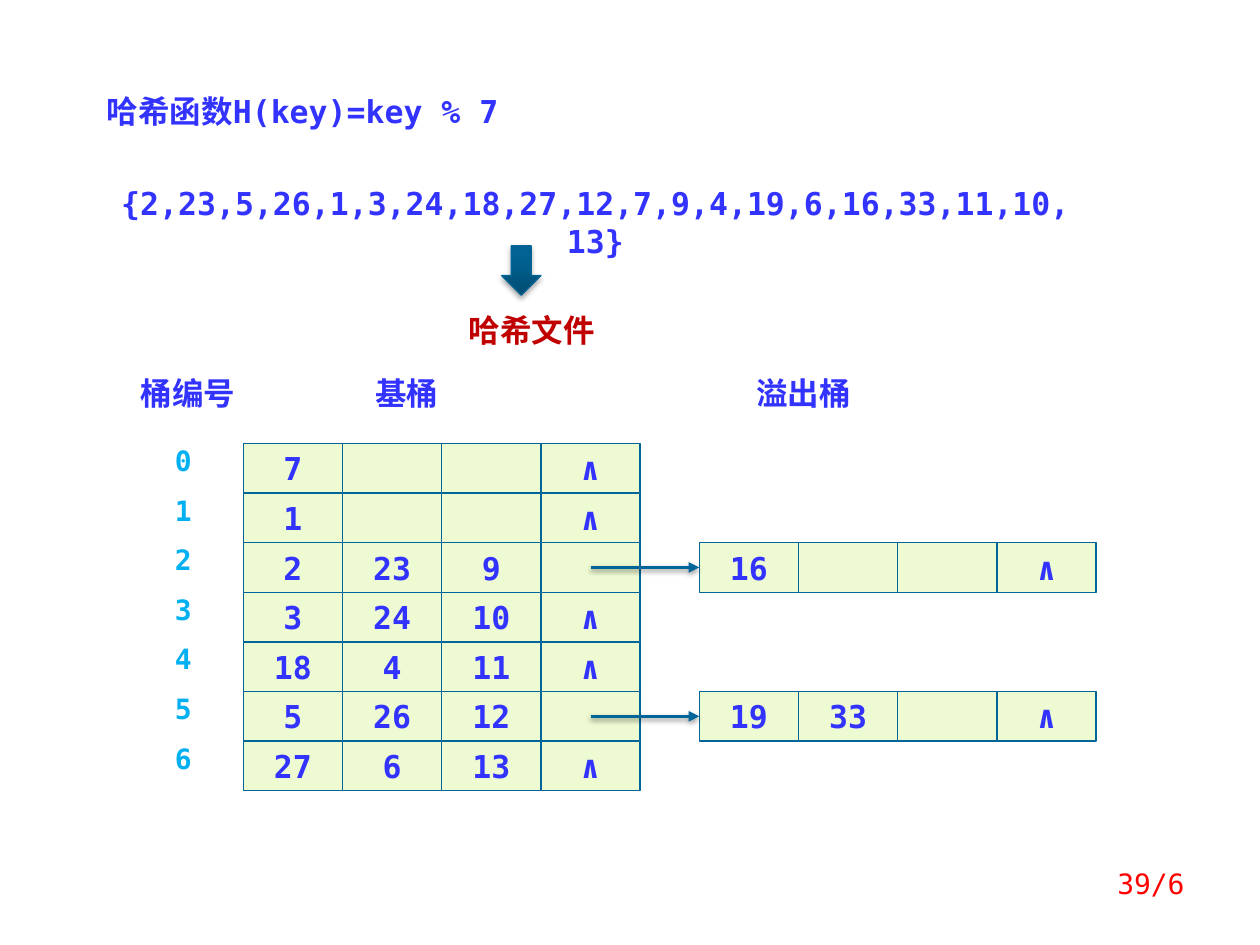
"""Build a slide of a hash file with base buckets and overflow buckets."""
from pptx import Presentation
from pptx.dml.color import RGBColor
from pptx.enum.shapes import MSO_CONNECTOR, MSO_SHAPE
from pptx.enum.text import MSO_ANCHOR, MSO_AUTO_SIZE, PP_ALIGN
from pptx.oxml import parse_xml
from pptx.oxml.ns import nsdecls, qn
from pptx.util import Pt

RECT, DOWN = MSO_SHAPE.RECTANGLE, MSO_SHAPE.DOWN_ARROW
LINE = MSO_CONNECTOR.STRAIGHT
MID = MSO_ANCHOR.MIDDLE
GROW = MSO_AUTO_SIZE.SHAPE_TO_FIT_TEXT
LEFT, CENTER, RIGHT = PP_ALIGN.LEFT, PP_ALIGN.CENTER, PP_ALIGN.RIGHT
FONT = "DejaVu Sans Mono"
HUES = {
    "text": "3333FF", "label": "00B0F0", "file": "C00000", "page": "FF0000",
    "cell": "EDFAD2", "edge": "006699", "rim": "006496",
}
NIL = "∧"


def write(text, box=None, shape=None, size=18, hue="text", bold=True,
          align=CENTER, inset=True, grow=True):
    if shape is None:
        shape = slide.shapes.add_textbox(*map(Pt, box))
        shape.text_frame.word_wrap = True
        if grow:
            shape.text_frame.auto_size = GROW
    else:
        shape.text_frame.word_wrap = False
        shape.text_frame.vertical_anchor = MID
    frame = shape.text_frame
    if not inset:
        frame.margin_left = frame.margin_right = 0
        frame.margin_top = frame.margin_bottom = 0
    para = frame.paragraphs[0]
    para.alignment = align
    run = para.add_run()
    run.text = text
    run.font.name = FONT
    run.font.size = Pt(size)
    run.font.bold = bold
    run.font.color.rgb = RGBColor.from_string(HUES[hue])


def shade(shape, alpha, blur, dist):
    props = shape._element.spPr
    for old in props.findall(qn("a:effectLst")):
        props.remove(old)
    props.append(parse_xml(
        f'<a:effectLst {nsdecls("a")}>'
        f'<a:outerShdw blurRad="{Pt(blur)}" dist="{Pt(dist)}" dir="5400000" rotWithShape="0">'
        f'<a:srgbClr val="000000"><a:alpha val="{alpha * 1000}"/></a:srgbClr>'
        '</a:outerShdw></a:effectLst>'))


deck = Presentation()
deck.slide_width, deck.slide_height = Pt(720), Pt(540)
slide = deck.slides.add_slide(deck.slide_layouts[6])

wide, high = 56.7, 28.35
base, over, top = 139, 399.6, 253.4
buckets = [
    ["7", "", "", NIL],
    ["1", "", "", NIL],
    ["2", "23", "9", ""],
    ["3", "24", "10", NIL],
    ["18", "4", "11", NIL],
    ["5", "26", "12", ""],
    ["27", "6", "13", NIL],
]
spill = {2: ["16", "", "", NIL], 5: ["19", "33", "", NIL]}

for left, head in ((70.6, "桶编号"), (195.8, "基桶"), (422.6, "溢出桶")):
    write(head, (left, 213.8, 73.4, 21.6), inset=False)

rows = [(base, num, keys) for num, keys in enumerate(buckets)]
rows += [(over, num, keys) for num, keys in spill.items()]
heads = {}
for left, num, keys in rows:
    y = top + num * high
    if left == base:
        write(str(num), (87.8, y, 34, 19.4), size=16, hue="label", inset=False)
    for col, key in enumerate(keys):
        cell = slide.shapes.add_shape(
            RECT, Pt(left + col * wide), Pt(y), Pt(wide), Pt(high))
        cell.shadow.inherit = False
        cell.fill.solid()
        cell.fill.fore_color.rgb = RGBColor.from_string(HUES["cell"])
        cell.line.color.rgb = RGBColor.from_string(HUES["edge"])
        cell.line.width = Pt(0.75)
        if key:
            write(key, shape=cell)
        if left == over and col == 0:
            heads[num] = cell

for num, cell in heads.items():
    y = Pt(top + (num + 0.5) * high)
    link = slide.shapes.add_connector(LINE, Pt(base + 3.5 * wide), y, Pt(over), y)
    link.end_connect(cell, 1)
    link.line.color.rgb = RGBColor.from_string(HUES["edge"])
    link.line.width = Pt(2)
    link.line._get_or_add_ln().append(
        parse_xml(f'<a:tailEnd {nsdecls("a")} type="triangle"/>'))
    shade(link, 38, 3.1, 1.6)

write("哈希函数H(key)=key % 7", (54, 49, 244, 28.8), align=LEFT)
write("哈希文件", (241.9, 174.2, 123.8, 28.8), hue="file")
write("{2,23,5,26,1,3,24,18,27,12,7,9,4,19,6,16,33,11,10,13}",
      (61.9, 101.5, 556.6, 28.8))

arrow = slide.shapes.add_shape(DOWN, Pt(286.6), Pt(140.4), Pt(22.5), Pt(28.35))
arrow.fill.gradient()
arrow.fill.gradient_angle = 90
stops = arrow._element.spPr.find(".//" + qn("a:gsLst"))
for old in list(stops):
    stops.remove(old)
for pos, hue in ((0, "004C72"), (80, "006394"), (100, "006395")):
    stops.append(parse_xml(
        f'<a:gs {nsdecls("a")} pos="{pos * 1000}"><a:srgbClr val="{hue}"/></a:gs>'))
arrow.line.color.rgb = RGBColor.from_string(HUES["rim"])
arrow.line.width = Pt(0.75)
shade(arrow, 35, 3.1, 1.8)

write("39/6", (516.2, 491.8, 167.8, 36), size=16, hue="page", bold=False,
      align=RIGHT, grow=False)

deck.save("out.pptx")
